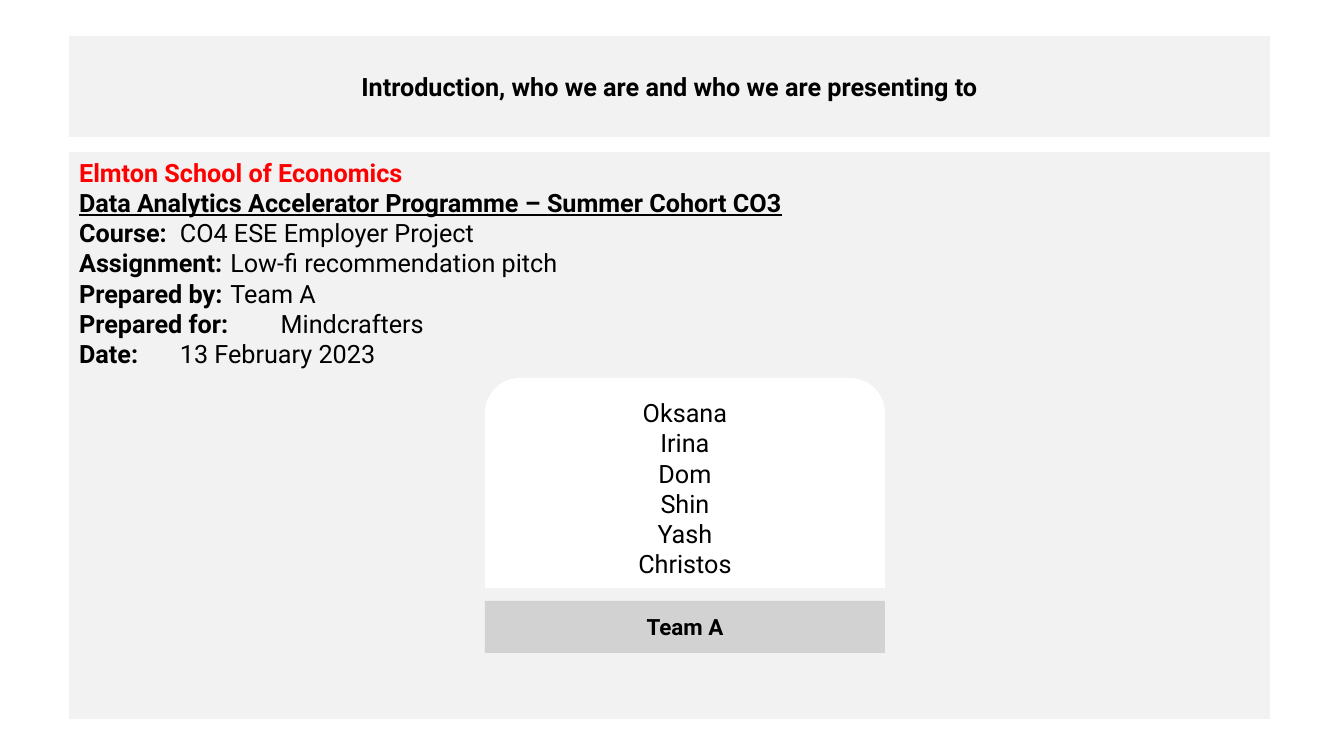
from lxml import etree
from pptx import Presentation
from pptx.dml.color import RGBColor
from pptx.enum.shapes import MSO_SHAPE
from pptx.enum.text import MSO_ANCHOR, MSO_AUTO_SIZE, PP_ALIGN
from pptx.oxml.ns import qn
from pptx.util import Emu, Pt

ROUND_TOP = MSO_SHAPE.ROUND_2_SAME_RECTANGLE
ROUND_RECT = MSO_SHAPE.ROUNDED_RECTANGLE
TOP, MIDDLE = MSO_ANCHOR.TOP, MSO_ANCHOR.MIDDLE
LEFT, CENTER = PP_ALIGN.LEFT, PP_ALIGN.CENTER
NO_AUTOFIT = MSO_AUTO_SIZE.NONE

PX_PER_INCH = 100.8
FONT = "Roboto"
COLORS = {"panel": "F2F2F2", "card": "FFFFFF", "label": "A6A6A6",
          "text": "000000", "school": "FF0000"}


def px(length):
    return Emu(round(length * 914400 / PX_PER_INCH))


def plain(text, bold=False, color="text", underline=False):
    return text, bold, color, underline


class SlideBuilder:
    def __init__(self, slide):
        self.slide = slide

    def paint(self, shape, color, alpha=None):
        shape.fill.solid()
        shape.fill.fore_color.rgb = RGBColor.from_string(COLORS[color])
        if alpha is not None:
            color_node = shape._element.spPr.find(".//" + qn("a:srgbClr"))
            etree.SubElement(color_node, qn("a:alpha")).set("val", str(alpha * 1000))
        shape.line.fill.background()

    def add_text(self, shape, lines, align, anchor, size=18, tabs=()):
        """Each line is a list of runs: (text, bold, color, underline)."""
        frame = shape.text_frame
        frame.word_wrap = True
        frame.auto_size = NO_AUTOFIT
        frame.vertical_anchor = anchor
        for index, runs in enumerate(lines):
            paragraph = frame.paragraphs[0] if index == 0 else frame.add_paragraph()
            paragraph.alignment = align
            paragraph.space_before = Pt(0)
            properties = paragraph._p.get_or_add_pPr()
            properties.set("marL", "0")
            properties.set("indent", "0")
            etree.SubElement(properties, qn("a:buNone"))
            if index < len(tabs) and tabs[index]:
                stops = etree.SubElement(properties, qn("a:tabLst"))
                etree.SubElement(stops, qn("a:tab"), pos=str(px(tabs[index])), algn="l")
            for text, bold, color, underline in runs:
                run = paragraph.add_run()
                run.text = text
                font = run.font
                font.name, font.size = FONT, Pt(size)
                font.bold, font.underline = bold, underline
                font.color.rgb = RGBColor.from_string(COLORS[color])

    def panel(self, placeholder, box, lines, align, anchor, tabs=()):
        (placeholder.left, placeholder.top,
         placeholder.width, placeholder.height) = map(px, box)
        self.paint(placeholder, "panel")
        self.add_text(placeholder, lines, align, anchor, tabs=tabs)

    def box(self, kind, box, color, lines, size=18, alpha=None):
        shape = self.slide.shapes.add_shape(kind, *map(px, box))
        shape.shadow.inherit = False
        self.paint(shape, color, alpha)
        self.add_text(shape, lines, CENTER, MIDDLE, size)
        return shape


def main():
    presentation = Presentation()
    presentation.slide_width, presentation.slide_height = px(1344), px(756)
    slide = presentation.slides.add_slide(presentation.slide_layouts[1])
    builder = SlideBuilder(slide)
    title, body = slide.placeholders

    # Title band
    heading = plain("Introduction, who we are and who we are presenting to", True)
    builder.panel(title, (69, 36, 1201, 101), [[heading]], CENTER, MIDDLE)

    # Course details: label, tab stop, value
    details = [("Course:", 101, "CO4 ESE Employer Project"),
               ("Assignment:", 202, "Low-fi recommendation pitch"),
               ("Prepared by:", 202, "Team A"),
               ("Prepared for:", 202, "Mindcrafters"),
               ("Date:", 202, "13 February 2023")]
    lines = [[plain("Elmton School of Economics", True, "school")],
             [plain("Data Analytics Accelerator Programme – Summer Cohort CO3",
                    True, underline=True)]]
    lines += [[plain(label, True), plain(f" \t{value}")] for label, _, value in details]
    tabs = [0, 0] + [stop for _, stop, _ in details]
    builder.panel(body, (69, 152, 1201, 567), lines, LEFT, TOP, tabs)

    # Team card and its label
    members = ["Oksana", "Irina", "Dom", "Shin", "Yash", "Christos"]
    builder.box(ROUND_TOP, (485, 378, 400, 210), "card",
                [[plain(name)] for name in members])
    team_label = builder.box(ROUND_RECT, (485, 601, 400, 52), "label",
                             [[plain("Team A", True)]], size=16, alpha=41)
    team_label.adjustments[0] = 0

    presentation.save("out.pptx")


if __name__ == "__main__":
    main()
